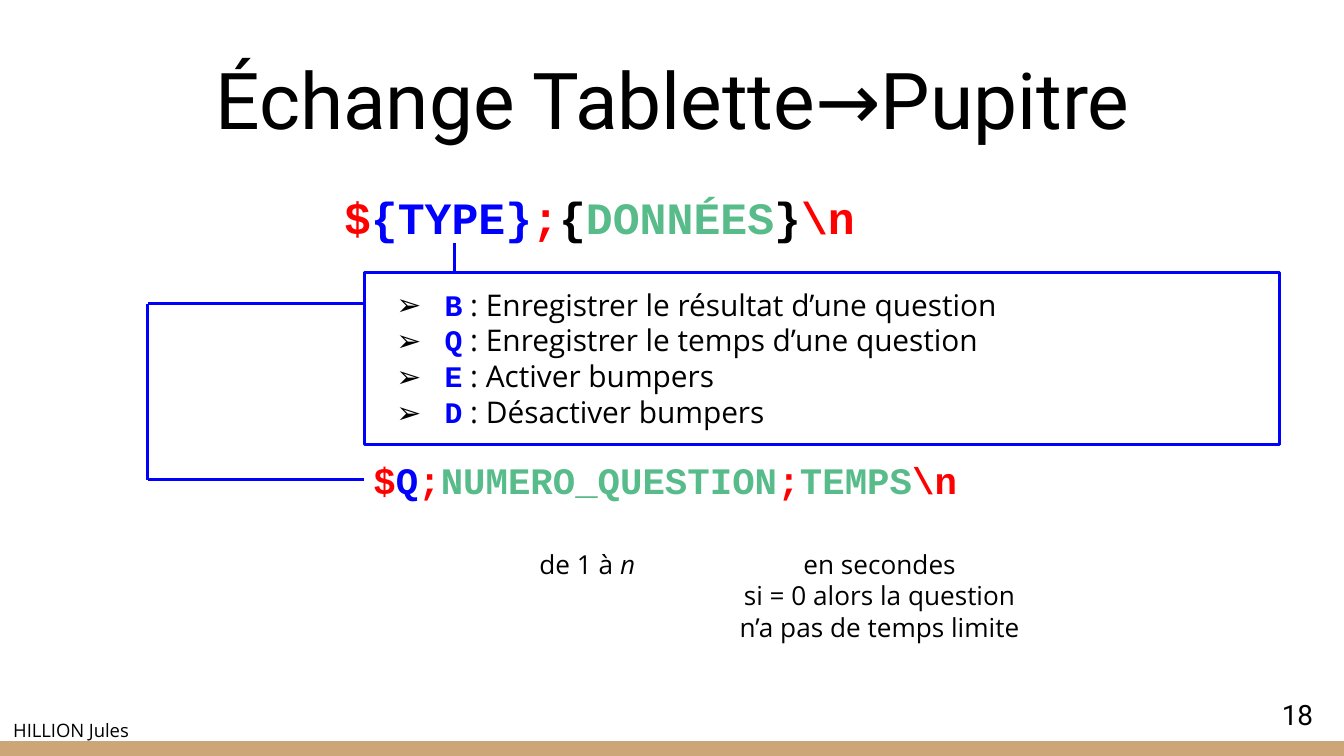
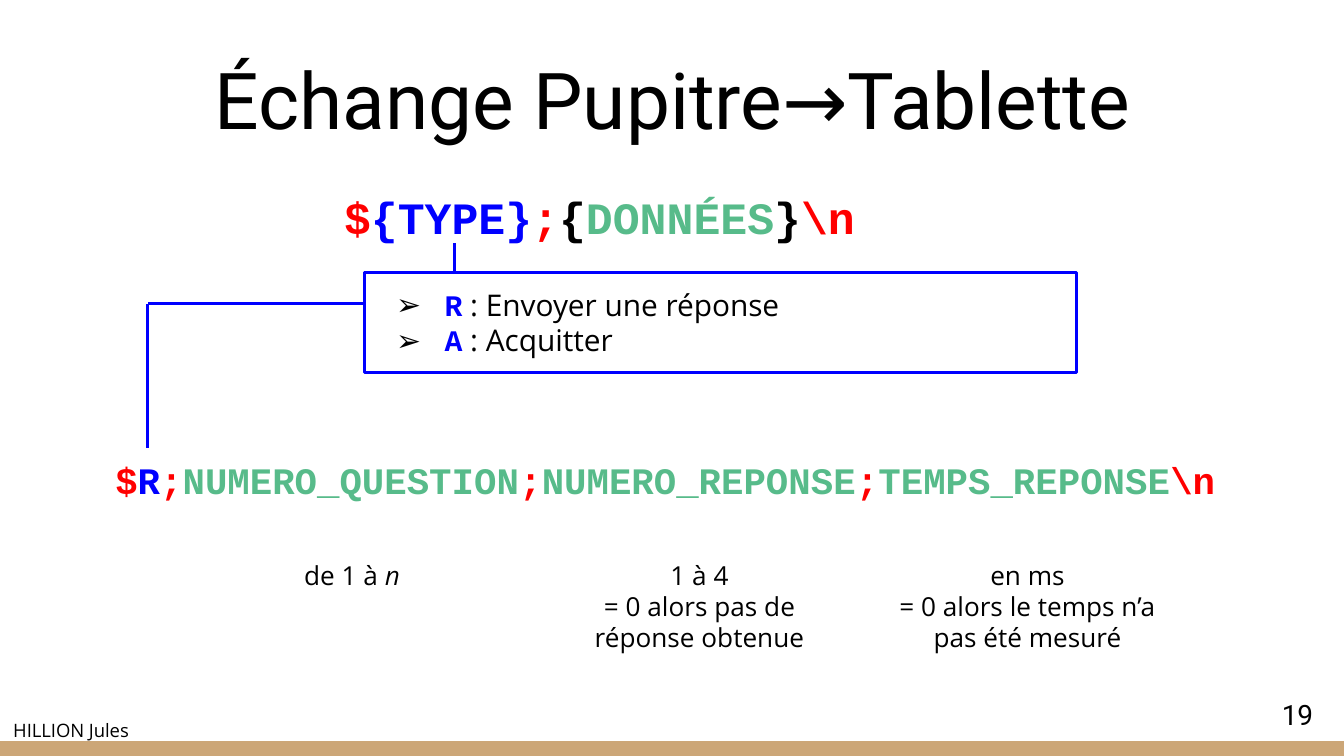
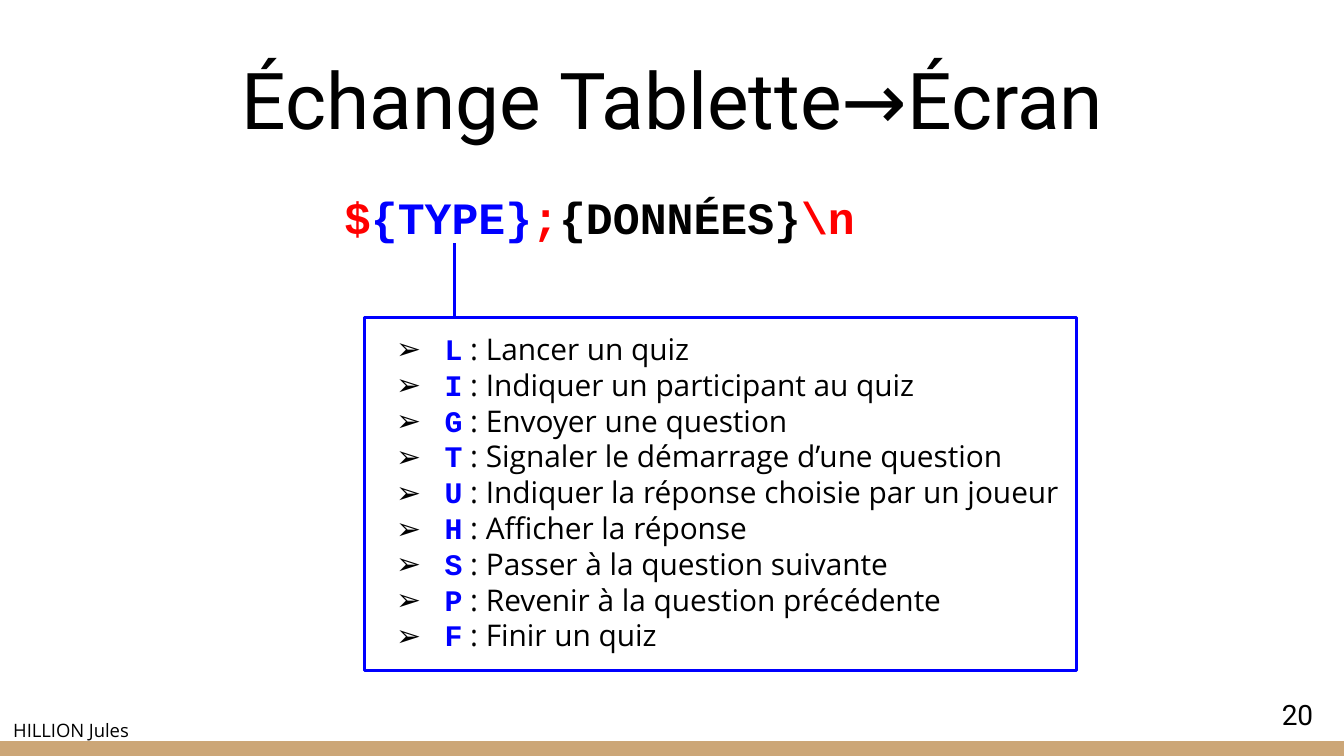
import pptx
import pptx.dml.color
import pptx.enum.shapes
import pptx.enum.text
import pptx.oxml
import pptx.oxml.ns
import pptx.util

ALIGN = pptx.enum.text.PP_ALIGN
ANCHOR = pptx.enum.text.MSO_ANCHOR
AUTO_SIZE = pptx.enum.text.MSO_AUTO_SIZE

WIDTH = 10
HEIGHT = WIDTH * 9 / 16
BLACK, RED, BLUE, GREEN, SAND = "000000", "FF0000", "0000FF", "57BB8A", "CCA677"
CODE, BODY, TITLE = "Courier New", "Open Sans", "Roboto"

AUTHOR = "HILLION Jules"
FIRST_NUMBER = 18
TYPES_LEFT, RAIL_X, STEM_X = 2.71, 1.1, 3.38
STEM_TOP, BRANCH_Y = 1.81, 2.26
BAND, ROW, INSET = 0.11, 0.27, 0.1
UP_TO_N = [["de 1 à ", ("n", {"italic": True})]]

EXCHANGES = [
    {
        "title": "Échange Tablette→Pupitre",
        "data_color": GREEN,
        "types_top": 2.03, "types_width": 6.81,
        "types": [("B", "Enregistrer le résultat d’une question"),
                  ("Q", "Enregistrer le temps d’une question"),
                  ("E", "Activer bumpers"),
                  ("D", "Désactiver bumpers")],
        "message": ("Q", ["NUMERO_QUESTION", "TEMPS"]),
        "rail_bottom": 3.57, "rail_returns": True,
        "notes_top": 3.98,
        "notes": [(5.4, 2.29, [["en secondes"],
                               ["si = 0 alors la question n’a pas de temps limite"]]),
                  (3.14, 2.46, UP_TO_N)],
    },
    {
        "title": "Échange Pupitre→Tablette",
        "data_color": GREEN,
        "types_top": 2.03, "types_width": 5.3,
        "types": [("R", "Envoyer une réponse"),
                  ("A", "Acquitter")],
        "message": ("R", ["NUMERO_QUESTION", "NUMERO_REPONSE", "TEMPS_REPONSE"]),
        "rail_bottom": 3.33, "rail_returns": False,
        "notes_top": 4.06,
        "notes": [(6.59, 2.11, [["en ms"], ["= 0 alors le temps n’a pas été mesuré"]]),
                  (4.06, 2.29, [["1 à 4"], ["= 0 alors pas de réponse obtenue"]]),
                  (1.39, 2.46, UP_TO_N)],
    },
    {
        "title": "Échange Tablette→Écran",
        "data_color": BLACK,
        "types_top": 2.36, "types_width": 5.3,
        "types": [("L", "Lancer un quiz"),
                  ("I", "Indiquer un participant au quiz"),
                  ("G", "Envoyer une question"),
                  ("T", "Signaler le démarrage d’une question"),
                  ("U", "Indiquer la réponse choisie par un joueur"),
                  ("H", "Afficher la réponse"),
                  ("S", "Passer à la question suivante"),
                  ("P", "Revenir à la question précédente"),
                  ("F", "Finir un quiz")],
    },
]


def rgb(color):
    return pptx.dml.color.RGBColor.from_string(color)


def inches(*lengths):
    return [pptx.util.Inches(length) for length in lengths]


def add_bullet(paragraph):
    properties = paragraph._p.get_or_add_pPr()
    properties.set("marL", str(pptx.util.Inches(0.5)))
    properties.set("indent", str(pptx.util.Inches(-0.36)))
    namespace = pptx.oxml.ns.nsdecls("a")
    for mark in (f'<a:buClr {namespace}><a:srgbClr val="{BLACK}"/></a:buClr>',
                 f'<a:buFont {namespace} typeface="{BODY}"/>',
                 f'<a:buChar {namespace} char="➢"/>'):
        properties.append(pptx.oxml.parse_xml(mark))


def write(shape, paragraphs, size, font=BODY, color=BLACK, bold=False, align=ALIGN.CENTER,
          anchor=ANCHOR.TOP, spacing=None, after=None, bullet=False, fit=AUTO_SIZE.NONE):
    """Fill a shape with paragraphs, each a list of strings or (string, overrides) runs."""
    frame = shape.text_frame
    frame.word_wrap, frame.auto_size, frame.vertical_anchor = True, fit, anchor
    frame.margin_left, frame.margin_top, frame.margin_right, frame.margin_bottom = inches(*[INSET] * 4)
    for index, pieces in enumerate(paragraphs):
        paragraph = frame.add_paragraph() if index else frame.paragraphs[0]
        if bullet:
            add_bullet(paragraph)
        paragraph.alignment = align
        if spacing:
            paragraph.line_spacing = spacing
        if after:
            paragraph.space_after = pptx.util.Pt(after)
        for piece in pieces:
            words, changes = (piece, {}) if isinstance(piece, str) else piece
            style = {"font": font, "color": color, "bold": bold, "italic": False, **changes}
            run = paragraph.add_run()
            run.text = words
            run.font.name, run.font.size = style["font"], pptx.util.Pt(size)
            run.font.bold, run.font.italic = style["bold"], style["italic"]
            run.font.color.rgb = rgb(style["color"])


def add_text(slide, box, paragraphs, **style):
    write(slide.shapes.add_textbox(*inches(*box)), paragraphs, **style)


def add_rectangle(slide, box, fill=None, line=None):
    kind = pptx.enum.shapes.MSO_SHAPE.RECTANGLE
    rectangle = slide.shapes.add_shape(kind, *inches(*box))
    rectangle.shadow.inherit = False
    if fill:
        rectangle.fill.solid()
        rectangle.fill.fore_color.rgb = rgb(fill)
    else:
        rectangle.fill.background()
    if line:
        rectangle.line.color.rgb = rgb(line)
        rectangle.line.width = pptx.util.Pt(1.5)
    else:
        rectangle.line.fill.background()
    return rectangle


def add_line(slide, *ends):
    kind = pptx.enum.shapes.MSO_CONNECTOR.STRAIGHT
    line = slide.shapes.add_connector(kind, *inches(*ends))
    line.line.color.rgb = rgb(BLUE)
    line.line.width = pptx.util.Pt(1.5)
    line._element.spPr.append(
        pptx.oxml.parse_xml(f'<a:effectLst {pptx.oxml.ns.nsdecls("a")}/>'))


def add_code(slide, box, size, colored):
    runs = [(words, {"color": color}) for words, color in colored]
    add_text(slide, box, [runs], size=size, font=CODE, bold=True, spacing=1.15)


def add_base(deck, title, number):
    """Add a slide with the shared band, title, number and author."""
    slide = deck.slides.add_slide(deck.slide_layouts[5])
    add_rectangle(slide, (0, HEIGHT - BAND, WIDTH, BAND), fill=SAND)
    heading = slide.shapes.title
    heading.left, heading.top, heading.width, heading.height = inches(0.85, 0.06, 8.31, 1.12)
    write(heading, [[title]], size=42, font=TITLE, anchor=ANCHOR.BOTTOM)
    add_text(slide, (9.27, 5.1, 0.6, 0.43), [[str(number)]], size=15, font=TITLE,
             align=ALIGN.RIGHT, anchor=ANCHOR.MIDDLE)
    add_text(slide, (0, 5.26, 1.81, 0.36), [[AUTHOR]], size=9.9, align=ALIGN.LEFT,
             spacing=0.95, after=12)
    return slide


def add_types(slide, exchange):
    """Add the general syntax and the list of message types under it."""
    data = exchange["data_color"]
    add_code(slide, (1.52, 1.25, 5.88, 0.74), 24,
             [("$", RED), ("{TYPE}", BLUE), (";", RED), ("{", BLACK),
              ("DONNÉES", data), ("}", BLACK), ("\\n", RED)])
    types, top = exchange["types"], exchange["types_top"]
    height = len(types) * ROW + 2 * INSET
    rectangle = add_rectangle(slide, (TYPES_LEFT, top, exchange["types_width"], height), line=BLUE)
    letter_style = {"font": CODE, "color": BLUE, "bold": True}
    write(rectangle, [[(letter, letter_style), f" : {meaning}"] for letter, meaning in types],
          size=16, align=ALIGN.LEFT, bullet=True, fit=AUTO_SIZE.SHAPE_TO_FIT_TEXT)
    add_line(slide, STEM_X, STEM_TOP, STEM_X, top)


def add_example(slide, exchange):
    """Add one message with its notes and the rail that ties it to its type."""
    letter, fields = exchange["message"]
    colored = [("$", RED), (letter, BLUE)]
    for field in fields:
        colored += [(";", RED), (field, GREEN)]
    add_code(slide, (0.17, 3.25, 9.56, 0.64), 20, colored + [("\\n", RED)])
    for left, width, note in exchange["notes"]:
        add_text(slide, (left, exchange["notes_top"], width, 0.79), note, size=14)
    bottom = exchange["rail_bottom"]
    add_line(slide, RAIL_X, BRANCH_Y, RAIL_X, bottom)
    add_line(slide, TYPES_LEFT, BRANCH_Y, RAIL_X, BRANCH_Y)
    if exchange["rail_returns"]:
        add_line(slide, TYPES_LEFT, bottom, RAIL_X, bottom)


def main():
    deck = pptx.Presentation()
    deck.slide_width, deck.slide_height = inches(WIDTH, HEIGHT)
    for number, exchange in enumerate(EXCHANGES, FIRST_NUMBER):
        slide = add_base(deck, exchange["title"], number)
        add_types(slide, exchange)
        if "message" in exchange:
            add_example(slide, exchange)
    deck.save("out.pptx")


if __name__ == "__main__":
    main()
